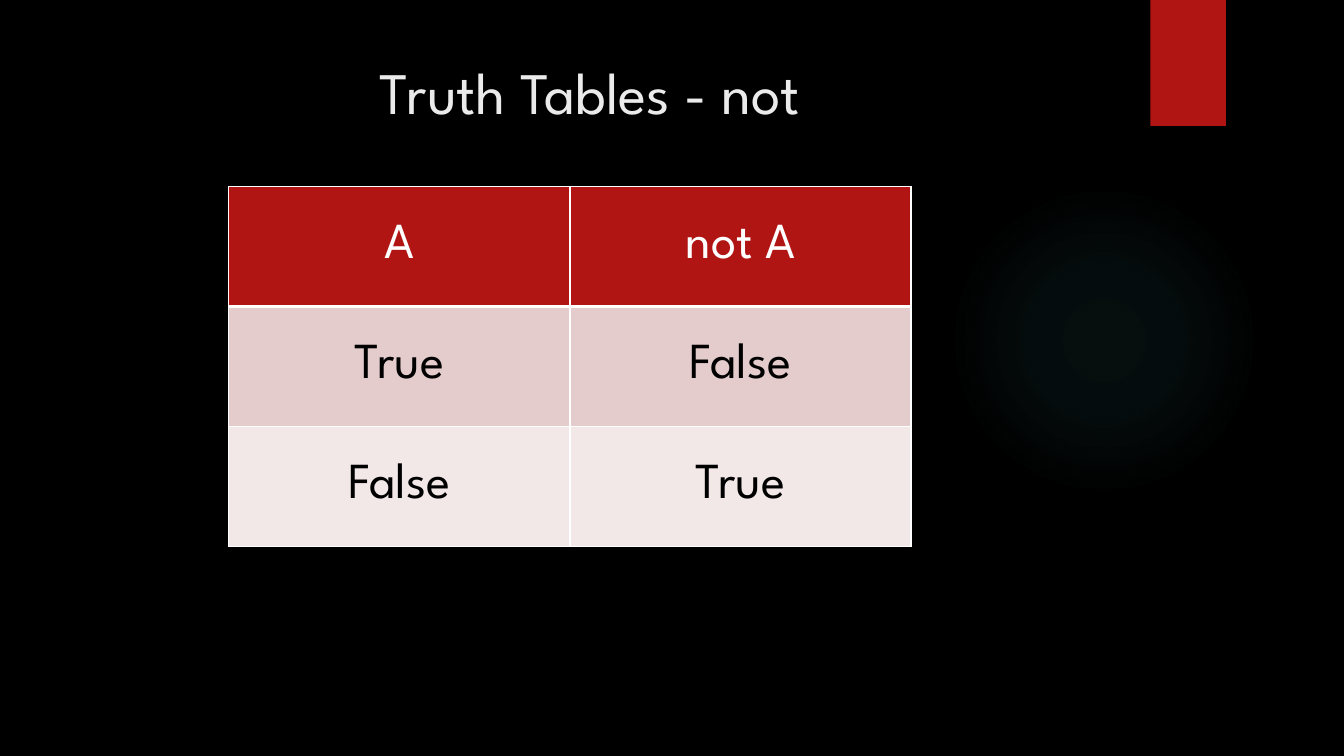
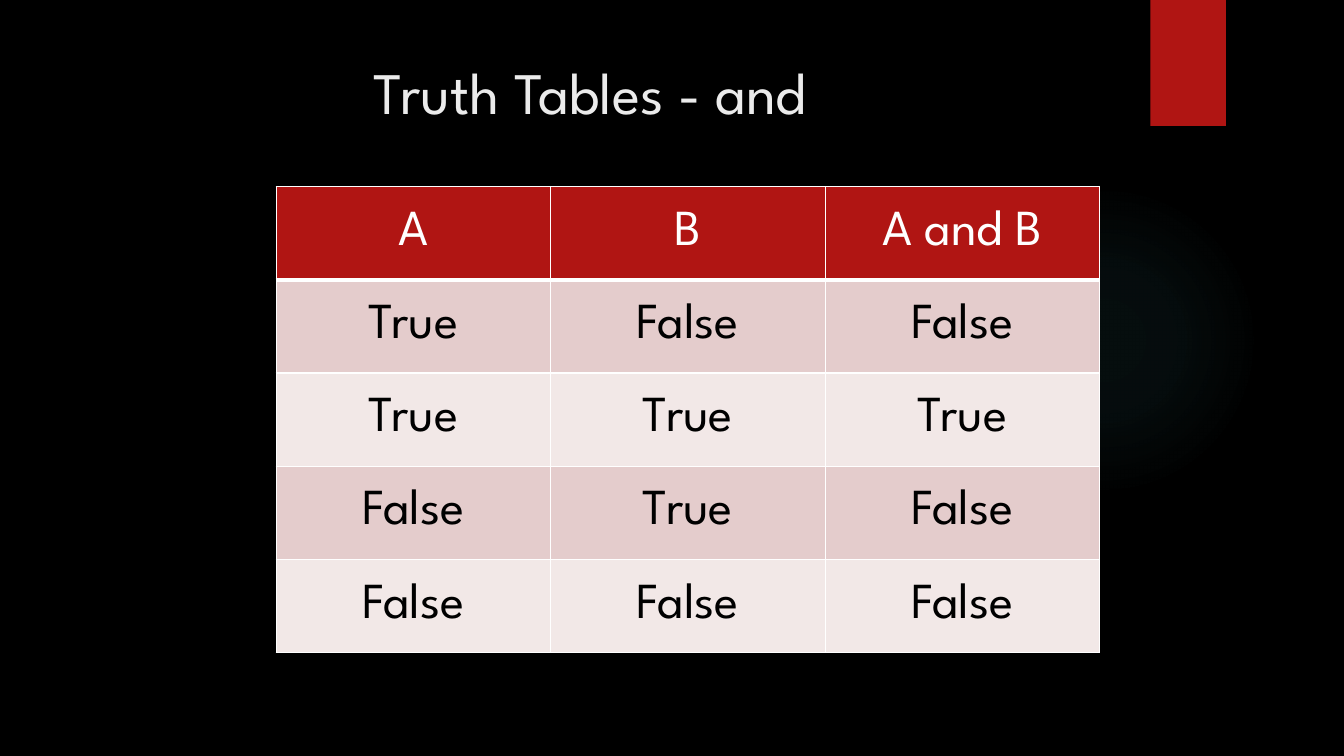
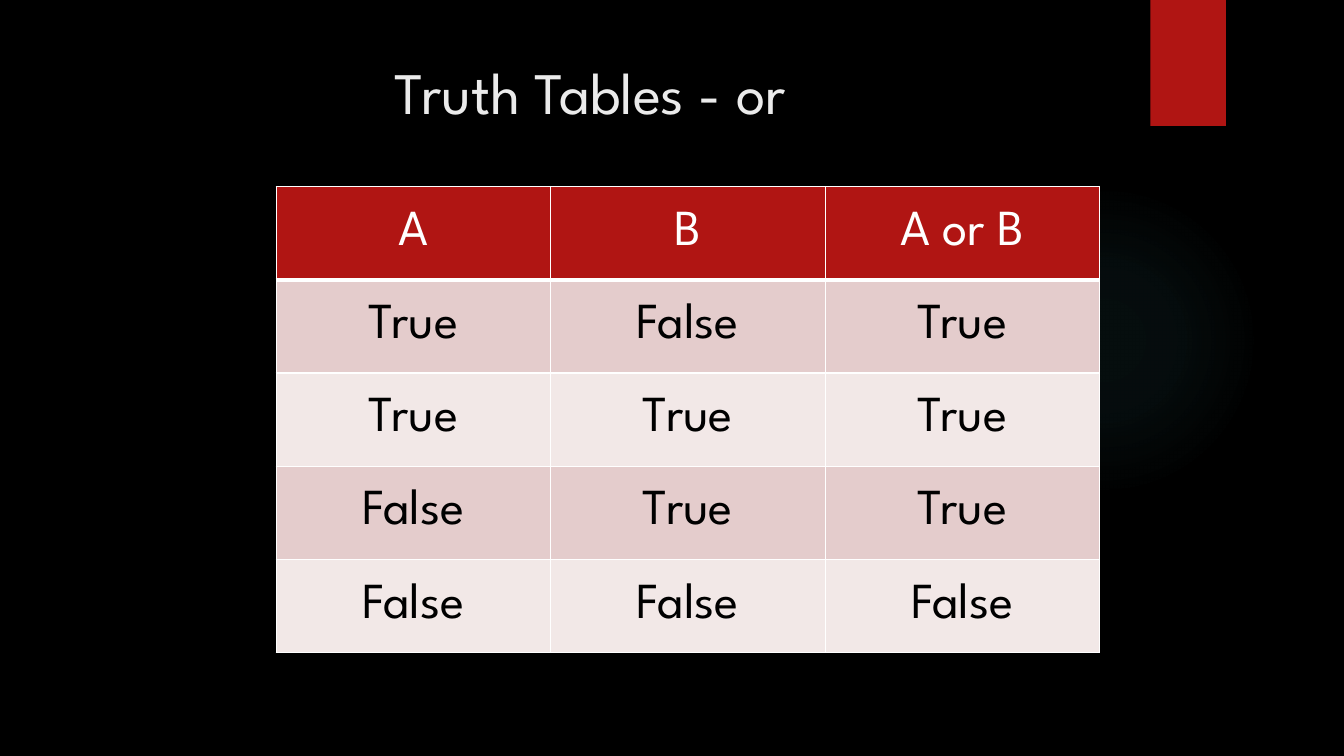
from pptx import Presentation
from pptx.dml.color import RGBColor as RGB
from pptx.enum.shapes import MSO_SHAPE as SHAPE
from pptx.enum.text import MSO_ANCHOR as ANCHOR, PP_ALIGN as ALIGN
from pptx.oxml import parse_xml
from pptx.oxml.ns import nsdecls
from pptx.util import Pt

HUES = {"back": "000000", "red": "B01513", "title": "EBEBEB", "white": "FFFFFF",
        "black": "000000", "dark": "E4CCCC", "light": "F2E8E7", "glow": "50B9C1"}
FONT = "League Spartan"
PAIRS = ["True False", "True True", "False True", "False False"]
SMALL = (163.4, 133.2, 487.4, 257.2)
LARGE = (197.3, 133.2, 588.2, 333)
PAGES = [
    ("not", SMALL, [["A", "not A"], ["True", "False"], ["False", "True"]]),
    ("and", LARGE, [["A", "B", "A and B"]] + [
        pair.split() + [end] for pair, end in zip(PAIRS, ["False", "True", "False", "False"])]),
    ("or", LARGE, [["A", "B", "A or B"]] + [
        pair.split() + [end] for pair, end in zip(PAIRS, ["True", "True", "True", "False"])]),
]


def tint(name):
    return RGB.from_string(HUES[name])


def style(para, text, size, hue):
    para.text = text
    para.alignment = ALIGN.CENTER
    para.font.name = FONT
    para.font.size = Pt(size)
    para.font.color.rgb = tint(hue)


deck = Presentation()
deck.slide_width, deck.slide_height = Pt(960), Pt(540)
back = deck.slide_master.background.fill
back.solid()
back.fore_color.rgb = tint("back")
stops = "".join(
    f'<a:gs pos="{pos * 1000}"><a:srgbClr val="{HUES["glow"]}">'
    f'<a:alpha val="{alpha * 1000}"/></a:srgbClr></a:gs>'
    for pos, alpha in [(0, 7), (36, 6), (69, 0), (100, 0)])

for word, place, rows in PAGES:
    slide = deck.slides.add_slide(deck.slide_layouts[6])
    shapes = slide.shapes

    glow = shapes.add_shape(SHAPE.OVAL, Pt(677.5), Pt(131.8), Pt(221.8), Pt(221.8))
    flag = shapes.add_shape(SHAPE.RECTANGLE, Pt(821.7), Pt(0), Pt(54), Pt(90))
    for shape in (glow, flag):
        shape.shadow.inherit = False
        shape.line.fill.background()
    flag.fill.solid()
    flag.fill.fore_color.rgb = tint("red")
    glow.fill.background()
    props = glow._element.spPr
    props.replace(props.find("{*}noFill"), parse_xml(
        f'<a:gradFill {nsdecls("a")} rotWithShape="1"><a:gsLst>{stops}</a:gsLst>'
        '<a:path path="circle"><a:fillToRect l="50000" t="50000" r="50000" b="50000"/>'
        '</a:path></a:gradFill>'))

    title = shapes.add_textbox(Pt(51), Pt(36), Pt(741), Pt(110)).text_frame
    title.word_wrap = True
    style(title.paragraphs[0], f"Truth Tables - {word}", 42, "title")

    grid = shapes.add_table(len(rows), len(rows[0]), *map(Pt, place)).table
    for i, row in enumerate(rows):
        fill = "red" if i == 0 else "dark" if i % 2 else "light"
        for j, text in enumerate(row):
            cell = grid.cell(i, j)
            cell.vertical_anchor = ANCHOR.MIDDLE
            style(cell.text_frame.paragraphs[0], text, 36, "black" if i else "white")
            edges = cell._tc.get_or_add_tcPr()
            for side in "LRTB":
                width = 3 if i == 0 and side == "B" else 1
                edges.append(parse_xml(
                    f'<a:ln{side} {nsdecls("a")} w="{Pt(width)}"><a:solidFill>'
                    f'<a:srgbClr val="{HUES["white"]}"/></a:solidFill></a:ln{side}>'))
            cell.fill.solid()
            cell.fill.fore_color.rgb = tint(fill)

deck.save("out.pptx")
